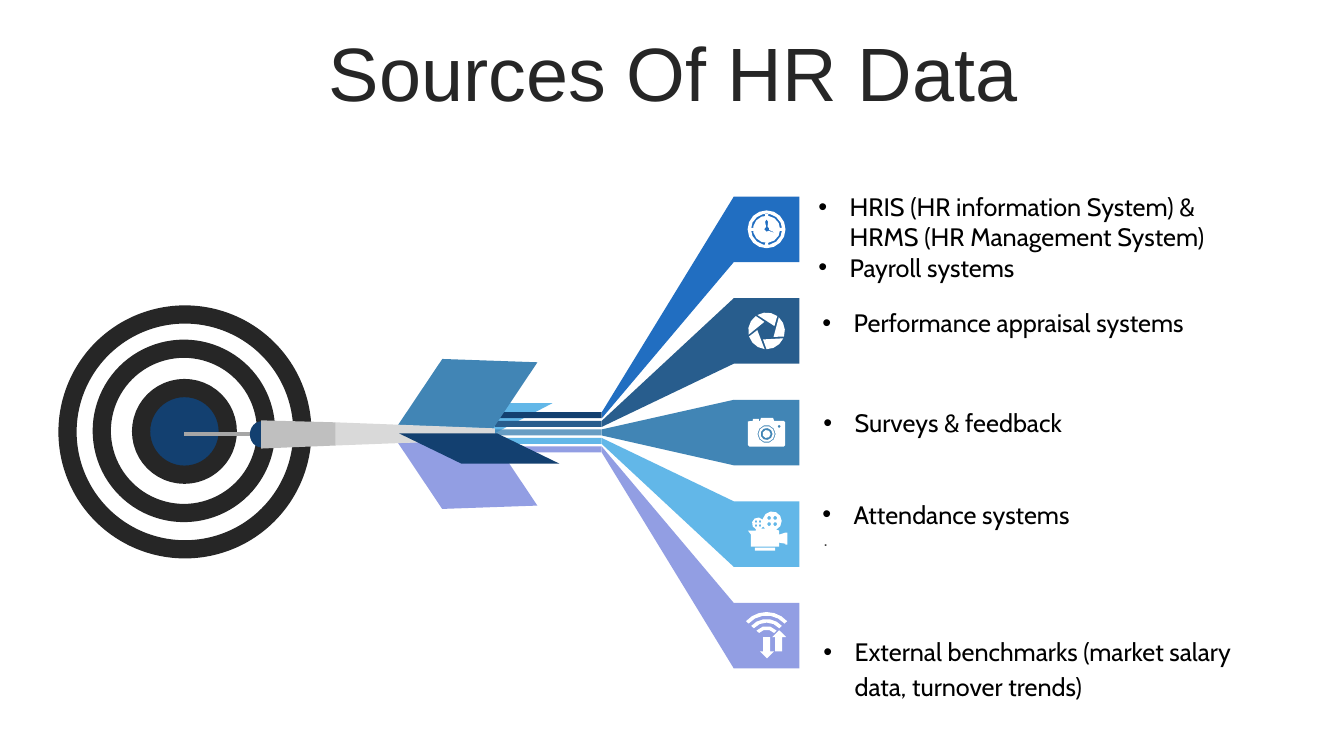
import math
from dataclasses import dataclass

import pptx
import pptx.dml.color
import pptx.enum.shapes
import pptx.enum.text
import pptx.oxml
import pptx.oxml.ns
import pptx.util

# Grid: every length is a number of square cells, ten to the inch
CELL = pptx.util.Inches(0.1)
LANE_TOP, LANE_PITCH, TILE_LEFT, TILE_SIZE = 19.5, 10.08, 72.8, 6.5
SHAFT_TOP, SHAFT_PITCH, SHAFT_HEIGHT = 40.9, 0.85, 0.6
SHAFT_LEFT, SHAFT_RIGHT = 49.1, 59.7

COLORS = {
    "blue": "216EC1", "deep": "285D8D", "steel": "4185B5", "sky": "62B7E8",
    "lilac": "929EE3", "navy": "134070", "ink": "262626", "white": "FFFFFF",
    "pin": "A6A6A6", "barrel": "D9D9D9", "grip": "BFBFBF",
    "black": "000000", "gray": "404040",
}
SHAPE = pptx.enum.shapes.MSO_SHAPE
Point = tuple[float, float]
Contour = list[Point]


@dataclass
class Lane:
    tile: str
    shaft: str
    icon: list[Contour]
    shaft_alpha: int = 100


@dataclass
class Label:
    left: float
    top: float
    width: float
    height: float
    lines: list[str]
    size: int = 18
    font: str = "Cabin"
    color: str = "black"
    bullet: bool = True
    spacing: float = 1.0


@dataclass
class Fin:
    left: float
    top: float
    width: float
    height: float
    color: str
    rotation: float
    slant: float
    flip: bool = False


# Outline helpers: larger arcs get more corners
def arc(x: float, y: float, radius: float, start: float = 0, end: float = 360) -> Contour:
    steps = max(3, round(abs(end - start) / 360 * (5 + 6 * radius)))
    angles = [math.radians(start + (end - start) * step / steps) for step in range(steps + 1)]
    return [(x + radius * math.cos(a), y + radius * math.sin(a)) for a in angles]


def rect(left: float, top: float, right: float, bottom: float) -> Contour:
    return [(left, top), (right, top), (right, bottom), (left, bottom)]


def turn(points: Contour, degrees: float) -> Contour:
    c, s = math.cos(math.radians(degrees)), math.sin(math.radians(degrees))
    return [(x * c - y * s, x * s + y * c) for x, y in points]


def four_holes(x: float, y: float, offset: float, radius: float) -> list[Contour]:
    return [arc(x + i * offset, y + j * offset, radius) for i in (-1, 1) for j in (-1, 1)]


# Icons, measured from the centre of their tile
CLOCK = [arc(0, 0, r) for r in (1.88, 1.55, 1.35)]
CLOCK += [turn(rect(-0.15, -1.55, 0.15, -1.34), quarter * 90) for quarter in range(4)]
CLOCK.append([(0, -1), (-0.15, -0.75), (-0.05, -0.25), (-0.25, 0), (0, 0.25), (0.2, 0.15),
              (0.75, 0.35), (0.65, 0.25), (0.25, 0.05), (0.25, -0.1), (0.1, -0.25),
              (0.15, -0.75)])

BLADE = arc(0, 0, 1.82, 24, 90) + [(-0.35, 0.85)]
SHUTTER = [turn(BLADE, blade * 72) for blade in range(5)]

CAMERA = [[(-1.85, -1.1), (-1.35, -1.15), (-1.35, -1.35), (-0.75, -1.35), (-0.75, -1.15),
           (-0.65, -1.15), (-0.55, -1.45), (0.65, -1.45), (0.75, -1.15), (1.7, -1.15),
           (1.85, -1), (1.85, 1.25), (1.7, 1.4), (-1.7, 1.4), (-1.85, 1.25)]]
CAMERA += [arc(0, 0.15, r) for r in (0.9, 0.8, 0.6, 0.4)] + [arc(1.25, -0.6, 0.15)]

PROJECTOR = [
    [(1.25, -0.35)] + arc(0.55, -1.3, 0.95, 65, -165) + arc(-0.85, -1.05, 0.6, -40, -250)
    + [(-1.05, -0.35), (-1.85, -0.35), (-1.55, 0.05), (-1.55, 1.25), (1.25, 1.25),
       (1.25, 0.85), (1.85, 0.95), (1.85, -0.15), (1.25, 0.05)],
    [(-0.35, -0.75), (-0.15, -0.55), (-0.55, -0.55)],
    rect(-1.15, 1.35, 0.85, 1.65), rect(1.85, -0.15, 2.05, 1.05),
]
PROJECTOR += four_holes(0.55, -1.3, 0.3, 0.2) + four_holes(-0.85, -1.05, 0.2, 0.13)

SIGNAL = [arc(0, 0.4, r, -138, -42) + arc(0, 0.4, r - 0.35, -42, -138)
          for r in (2.75, 2.05, 1.35)]
SIGNAL += [
    [(-0.35, 0.15), (0.35, 0.15), (0.35, 1.55), (0.75, 1.55), (0.05, 2.25),
     (-0.65, 1.55), (-0.35, 1.55)],
    [(1.25, -0.55), (1.95, 0.15), (1.55, 0.15), (1.55, 1.55), (0.85, 1.55),
     (0.85, 0.15), (0.55, 0.15)],
]

LANES = [
    Lane("blue", "navy", CLOCK), Lane("deep", "deep", SHUTTER),
    Lane("steel", "steel", CAMERA, 80), Lane("sky", "sky", PROJECTOR),
    Lane("lilac", "lilac", SIGNAL),
]
LABELS = [
    Label(80.2, 18.5, 44.4, 12.1, ["HRIS (HR information System) & HRMS (HR Management System)",
                                   "Payroll systems"]),
    Label(80.6, 30, 44, 6.1, ["Performance appraisal systems"]),
    Label(80.7, 39.9, 44, 6.1, ["Surveys & feedback"]),
    Label(80.6, 49, 44, 6.1, ["Attendance systems"]),
    Label(80.7, 52.1, 44.4, 3, ["."], 12, "Arial", "gray", False),
    Label(80.7, 62.2, 44.4, 7.8, ["External benchmarks (market salary data, turnover trends)"],
          spacing=1.15),
]
BACK_FIN = Fin(39.5, 40, 15.3, 3, "sky", 180, 1.92)
SIDE_FINS = [Fin(39.6, 43.7, 13.6, 6.7, "lilac", 178, 0.62, True),
             Fin(39.6, 35.7, 13.6, 6.7, "steel", 182, 0.62)]
FRONT_FIN = Fin(39.6, 43, 15.9, 3, "navy", 180, 2.06, True)


# Drawing functions
def cells(*values: float) -> list[int]:
    return [round(value * CELL) for value in values]


def rgb(color: str) -> pptx.dml.color.RGBColor:
    return pptx.dml.color.RGBColor.from_string(COLORS[color])


def paint(shape, color: str) -> None:
    shape.shadow.inherit = False
    shape.fill.solid()
    shape.fill.fore_color.rgb = rgb(color)
    shape.line.fill.background()


def add_preset(page, kind, left: float, top: float, width: float, height: float, color: str):
    shape = page.shapes.add_shape(kind, *cells(left, top, width, height))
    paint(shape, color)
    return shape


def add_outline(page, contours: list[Contour], color: str, x: float = 0, y: float = 0) -> None:
    paths = [[tuple(cells(x + px, y + py)) for px, py in contour] for contour in contours]
    builder = page.shapes.build_freeform(*paths[0][0])
    for index, path in enumerate(paths):
        if index:
            builder.move_to(*path[0])
        builder.add_line_segments(path[1:], close=True)
    paint(builder.convert_to_shape(), color)


def add_fin(page, fin: Fin) -> None:
    shape = add_preset(page, SHAPE.PARALLELOGRAM, fin.left, fin.top, fin.width, fin.height,
                       fin.color)
    shape.adjustments[0] = fin.slant
    shape.rotation = fin.rotation
    if fin.flip:
        shape._element.spPr.xfrm.set("flipH", "1")


def add_label(page, label: Label) -> None:
    box = page.shapes.add_textbox(*cells(label.left, label.top, label.width, label.height))
    box.text_frame.word_wrap = True
    box.text_frame.auto_size = pptx.enum.text.MSO_AUTO_SIZE.SHAPE_TO_FIT_TEXT
    box.text_frame.text = "\n".join(label.lines)
    for para in box.text_frame.paragraphs:
        if label.bullet:
            props = para._p.get_or_add_pPr()
            props.set("marL", str(cells(3.1)[0]))
            props.set("indent", str(cells(-3.1)[0]))
            namespace = pptx.oxml.ns.nsdecls("a")
            props.append(pptx.oxml.parse_xml(f'<a:buFont {namespace} typeface="Arial"/>'))
            props.append(pptx.oxml.parse_xml(f'<a:buChar {namespace} char="•"/>'))
        para.line_spacing = label.spacing
        style_runs(para, label.size, label.font, label.color)


def style_runs(para, size: int, font: str, color: str) -> None:
    for span in para.runs:
        span.font.size = pptx.util.Pt(size)
        span.font.name = font
        span.font.color.rgb = rgb(color)


def add_title(page, text: str) -> None:
    title = page.shapes.title
    title.left, title.top, title.width, title.height = cells(3.5, 3.7, 126.6, 7.9)
    title.text_frame.text = text
    title.text_frame.vertical_anchor = pptx.enum.text.MSO_ANCHOR.MIDDLE
    para = title.text_frame.paragraphs[0]
    para.alignment = pptx.enum.text.PP_ALIGN.CENTER
    para.line_spacing = 0.9
    style_runs(para, 54, "Arial", "ink")


def add_target(page) -> None:
    for left, top, size, color in ((6.7, 31.2, 23.3, "white"), (10.1, 34.6, 16.3, "white"),
                                   (14, 38.5, 8.6, "navy")):
        ring = add_preset(page, SHAPE.OVAL, left, top, size, size, color)
        ring.line.color.rgb = rgb("ink")
        ring.line.width = pptx.util.Pt(13)


def add_dart(page) -> None:
    add_outline(page, [rect(18.3, 42.9, 26.3, 43.3)], "pin")
    for fin in SIDE_FINS:
        add_fin(page, fin)
    add_outline(page, [[(33.3, 41.9), (49.1, 42.5), (49.1, 43.6), (33.3, 44.2)]], "barrel")
    tip = add_preset(page, SHAPE.CHORD, 24.8, 41.8, 2.3, 2.6, "navy")
    tip.adjustments[0], tip.adjustments[1] = 53.91, 162
    add_outline(page, [[(25.9, 41.7), (33.3, 41.9), (33.3, 44.2), (25.9, 44.5)]], "grip")
    add_fin(page, FRONT_FIN)


def add_lane(page, row: int, lane: Lane) -> None:
    top, shaft = LANE_TOP + row * LANE_PITCH, SHAFT_TOP + row * SHAFT_PITCH
    half = TILE_SIZE / 2
    add_preset(page, SHAPE.RECTANGLE, TILE_LEFT, top, TILE_SIZE, TILE_SIZE, lane.tile)
    add_outline(page, lane.icon, "white", TILE_LEFT + half, top + half)
    add_outline(page, [[(SHAFT_RIGHT, shaft), (TILE_LEFT, top), (TILE_LEFT, top + TILE_SIZE),
                        (SHAFT_RIGHT, shaft + SHAFT_HEIGHT)]], lane.tile)
    bar = add_preset(page, SHAPE.RECTANGLE, SHAFT_LEFT, shaft, SHAFT_RIGHT - SHAFT_LEFT,
                     SHAFT_HEIGHT, lane.shaft)
    if lane.shaft_alpha < 100:
        color = bar._element.spPr.find(".//" + pptx.oxml.ns.qn("a:srgbClr"))
        color.append(pptx.oxml.parse_xml(
            f'<a:alpha {pptx.oxml.ns.nsdecls("a")} val="{lane.shaft_alpha * 1000}"/>'))


def main() -> None:
    deck = pptx.Presentation()
    deck.slide_width, deck.slide_height = cells(133.33, 75)
    page = deck.slides.add_slide(deck.slide_layouts[5])
    add_title(page, "Sources Of HR Data")
    for label in LABELS:
        add_label(page, label)
    add_target(page)
    add_fin(page, BACK_FIN)
    for row, lane in enumerate(LANES):
        add_lane(page, row, lane)
    add_dart(page)
    deck.save("out.pptx")


if __name__ == "__main__":
    main()
